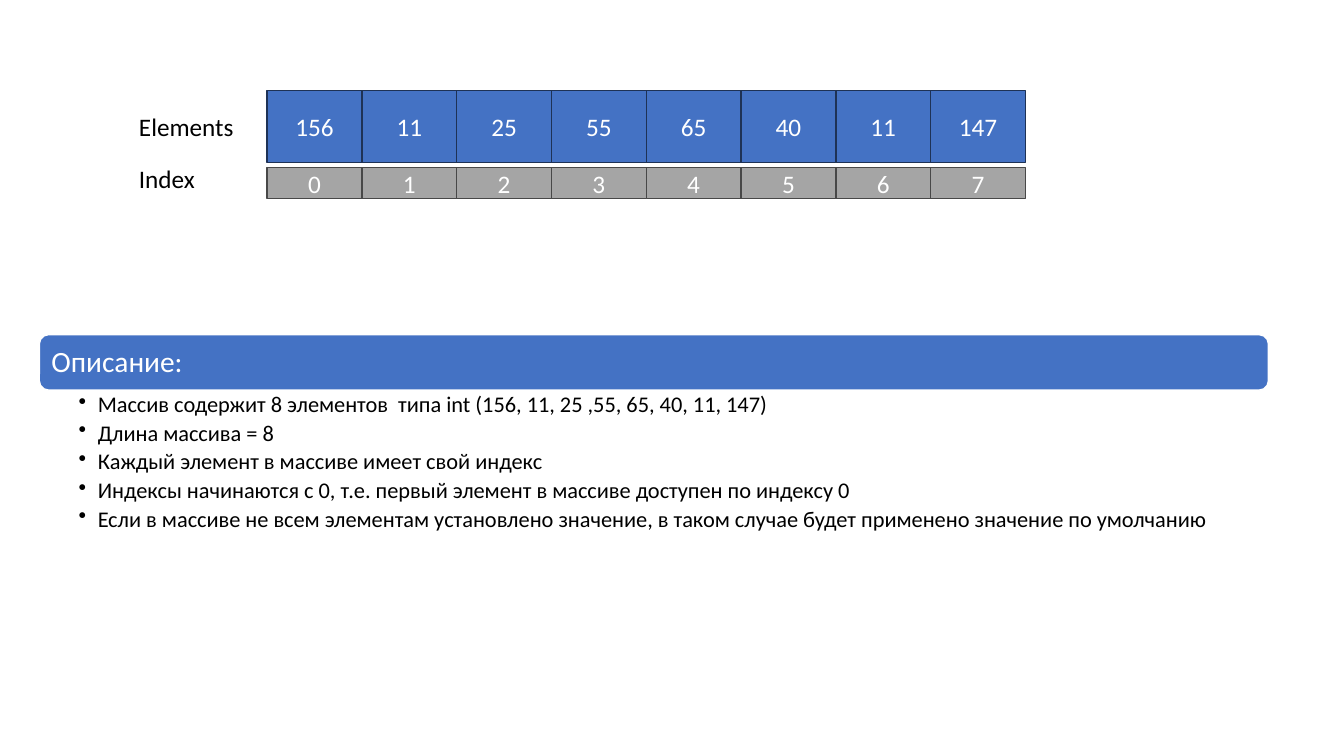
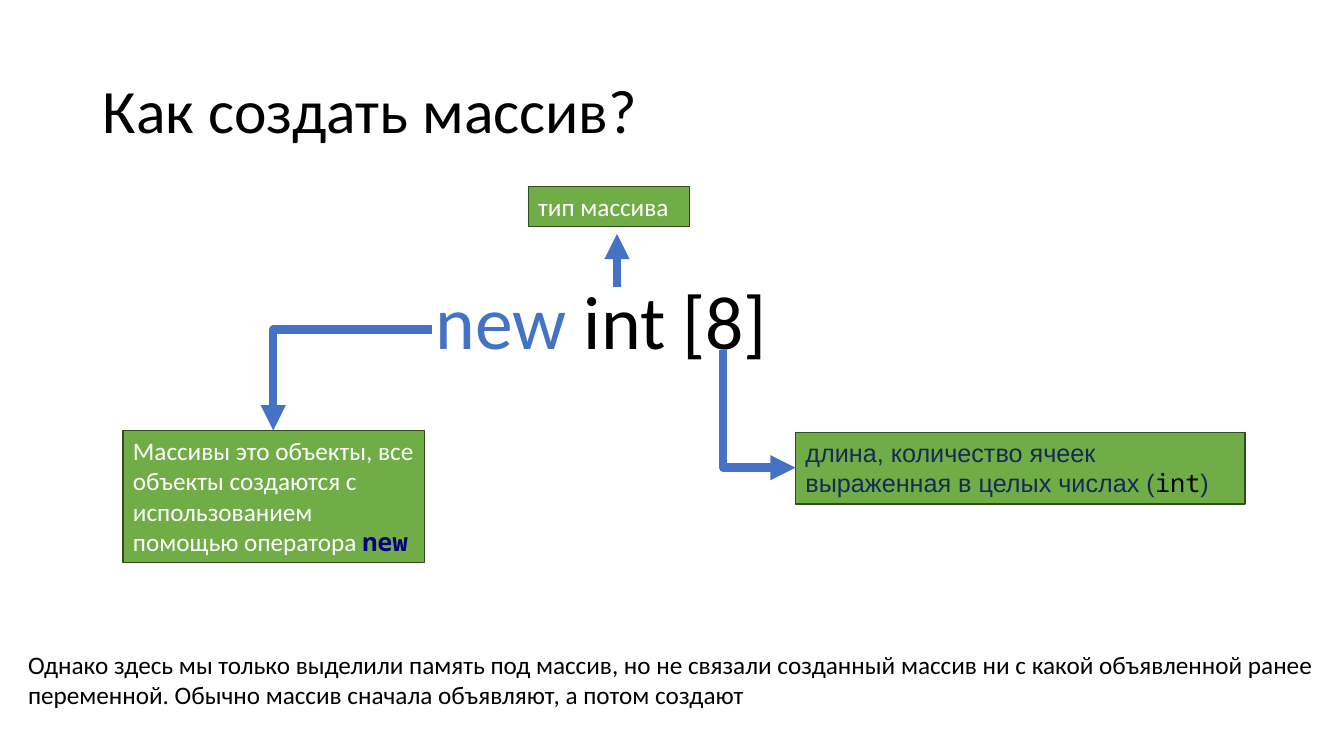
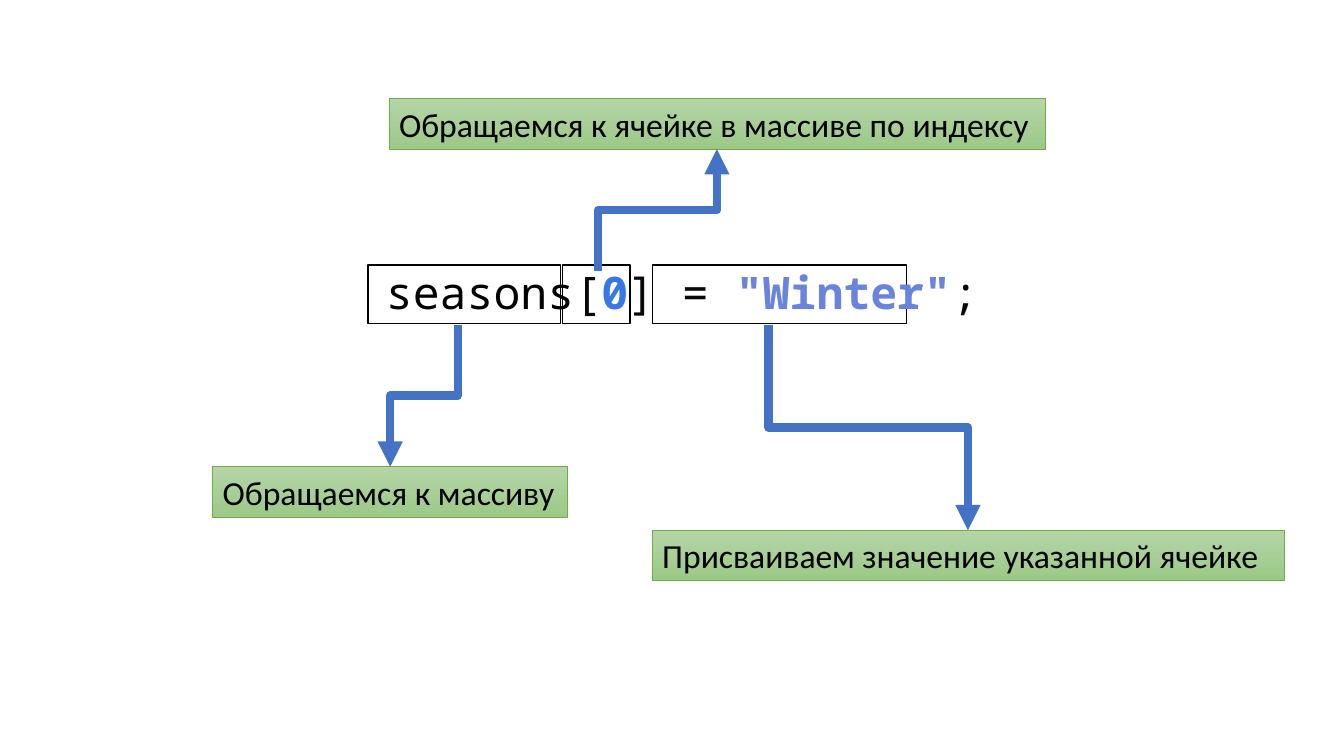
from dataclasses import dataclass, replace
from typing import Any

from lxml import etree
from pptx import Presentation
from pptx import util as u
from pptx.dml.color import RGBColor
from pptx.enum import shapes as es, text as et
from pptx.oxml import ns

# Shared look
BLUE, GREEN, GREY = "4472C4", "70AD47", "A5A5A5"
WHITE, BLACK, NAVY = "FFFFFF", "000000", "172B53"
SANS, MONO = "Calibri", "Noto Sans Mono"
FADE = ("B5D5A7", "9CC987")
KIND = es.MSO_SHAPE
ALIGN, TOP, MID = et.PP_ALIGN, et.MSO_ANCHOR.TOP, et.MSO_ANCHOR.MIDDLE


@dataclass(frozen=True)
class Run:
    text: str
    hue: str | None = None
    font: str | None = None
    bold: bool = False


@dataclass(frozen=True)
class Box:
    left: float
    top: float
    wide: float
    high: float
    fill: str | tuple[str, str] | None = None
    edge: str | None = None
    width: float = 1
    kind: Any = KIND.RECTANGLE

    def place(self) -> list[int]:
        return [u.Inches(n) for n in (self.left, self.top, self.wide, self.high)]


@dataclass(frozen=True)
class Arrow:
    start: tuple[float, float]
    end: tuple[float, float]
    form: str = "line"
    turn: int = 0
    flip: str = ""


def rgb(code: str) -> RGBColor:
    return RGBColor.from_string(code)


def draw(area: Any, box: Box) -> Any:
    """Add a filled shape, or a text box when there is no fill."""
    if box.fill is None:
        return area.add_textbox(*box.place())
    shape = area.add_shape(box.kind, *box.place())
    shape.shadow.inherit = False
    if isinstance(box.fill, tuple):
        shape.fill.gradient()
        shape.fill.gradient_angle = 270
        for stop, hue, spot in zip(shape.fill.gradient_stops, box.fill, (0, 1)):
            stop.color.rgb = rgb(hue)
            stop.position = spot
    else:
        shape.fill.solid()
        shape.fill.fore_color.rgb = rgb(box.fill)
    shape.line.color.rgb = rgb(box.edge or WHITE)
    shape.line.width = u.Pt(box.width)
    return shape


def write(shape: Any, *paras: str | list[Run], size: float = 18, hue: str = BLACK,
          font: str = SANS, align: Any = ALIGN.LEFT, anchor: Any = TOP,
          wrap: bool = True, grow: bool = False, lead: float | None = None,
          after: float | None = None, inset: tuple = (0.1, 0.05, 0.1, 0.05),
          bullet: bool = False) -> None:
    frame = shape.text_frame
    frame.word_wrap = wrap
    frame.auto_size = (et.MSO_AUTO_SIZE.SHAPE_TO_FIT_TEXT if grow
                       else et.MSO_AUTO_SIZE.NONE)
    frame.vertical_anchor = anchor
    for side, gap in zip(("left", "top", "right", "bottom"), inset):
        setattr(frame, f"margin_{side}", u.Inches(gap))
    for i, runs in enumerate(paras):
        para = frame.add_paragraph() if i else frame.paragraphs[0]
        para.alignment = align
        if lead:
            para.line_spacing = lead
        if after:
            para.space_after = u.Pt(after)
        if bullet:
            para.level = 1
            props = para._p.get_or_add_pPr()
            props.set("marL", str(u.Inches(0.19)))
            props.set("indent", str(-u.Inches(0.19)))
            etree.SubElement(props, ns.qn("a:buChar")).set("char", "•")
        for item in [Run(runs)] if isinstance(runs, str) else runs:
            for n, line in enumerate(item.text.split("\n")):
                if n:
                    para.add_line_break()
                run = para.add_run()
                run.text = line
                run.font.size = u.Pt(size)
                run.font.name = item.font or font
                run.font.bold = item.bold
                run.font.color.rgb = rgb(item.hue or hue)


def point(area: Any, arrow: Arrow) -> None:
    """Add an arrow; a turned one has its width and height swapped."""
    (x1, y1), (x2, y2) = arrow.start, arrow.end
    if arrow.form == "line":
        kind, ends = es.MSO_CONNECTOR.STRAIGHT, (x1, y1, x2, y2)
    else:
        wide, high = abs(x2 - x1), abs(y2 - y1)
        if arrow.turn % 180:
            wide, high = high, wide
        left, top = (x1 + x2 - wide) / 2, (y1 + y2 - high) / 2
        kind, ends = es.MSO_CONNECTOR.ELBOW, (left, top, left + wide, top + high)
    link = area.add_connector(kind, *(u.Inches(n) for n in ends))
    link.line.color.rgb = rgb(BLUE)
    link.line.width = u.Pt(6)
    props = link._element.spPr
    if arrow.form != "line":
        props.find(ns.qn("a:prstGeom")).set("prst", arrow.form)
        frame = props.find(ns.qn("a:xfrm"))
        frame.set("rot", str(arrow.turn * 60000))
        for axis in arrow.flip:
            frame.set(f"flip{axis}", "1")
    tip = etree.SubElement(link.line._get_or_add_ln(), ns.qn("a:tailEnd"))
    tip.set("type", "triangle")
    etree.SubElement(props, ns.qn("a:effectLst"))


deck = Presentation()
deck.slide_width, deck.slide_height = u.Inches(13.33), u.Inches(7.5)
BARE, TITLED = deck.slide_layouts[6], deck.slide_layouts[5]

# Slide 1: array cells and their indexes
area = deck.slides.add_slide(BARE).shapes
values = ("156", "11", "25", "55", "65", "40", "11", "147")
STEP = 0.94
rows = (
    (values, Box(2.65, 0.9, STEP, 0.71, BLUE, "1E3256")),
    (map(str, range(len(values))), Box(2.65, 1.66, STEP, 0.31, GREY, "484848")),
)
for words, first in rows:
    group = area.add_group_shape().shapes
    for i, word in enumerate(words):
        cell = draw(group, replace(first, left=first.left + i * STEP))
        write(cell, word, hue=WHITE, align=ALIGN.CENTER, anchor=MID)
for name, top, wide in (("Elements", 1.06, 1.15), ("Index", 1.57, 0.76)):
    write(draw(area, Box(1.28, top, wide, 0.4)), name, wrap=False, grow=True)

# Description band and list
draw(area, Box(0.39, 3.32, 12.19, 0.55, BLUE, WHITE, kind=KIND.ROUNDED_RECTANGLE))
write(draw(area, Box(0.42, 3.35, 12.13, 0.5)), "Описание:", size=21, hue=WHITE,
      anchor=MID, lead=0.9, inset=(0.09,) * 4)
write(draw(area, Box(0.39, 3.87, 12.19, 1.5)),
      "Массив содержит 8 элементов  типа int (156, 11, 25 ,55, 65, 40, 11, 147)",
      "Длина массива = 8",
      "Каждый элемент в массиве имеет свой индекс",
      "Индексы начинаются с 0, т.е. первый элемент в массиве доступен по индексу 0",
      "Если в массиве не всем элементам установлено значение, "
      "в таком случае будет применено значение по умолчанию",
      size=16, lead=0.9, after=3.2, inset=(0.39, 0.03, 0.16, 0.03), bullet=True)

# Slide 2: creating an array
area = deck.slides.add_slide(TITLED).shapes
title = area.title
title.left, title.top, title.width, title.height = Box(0.92, 0.4, 11.5, 1.45).place()
write(title, "Как создать массив?", size=44, anchor=MID, lead=0.9)
write(draw(area, Box(4.2, 2.67, 3.7, 1.01)), [Run("new ", BLUE), Run("int [8] ")],
      size=54, align=ALIGN.CENTER, wrap=False, grow=True)

notes = (
    (Box(1.22, 4.27, 2.99, 1.31, GREEN, "314C1F"),
     [Run("Массивы это объекты, все объекты создаются с использованием "
          "помощью оператора "), Run("new ", "000080", MONO, True)]),
    (Box(5.24, 1.85, 1.6, 0.4, GREEN, "314C1F"), "тип массива"),
    (Box(7.89, 4.29, 4.46, 0.71, GREEN, "314C1F"),
     [Run("длина, количество ячеек\nвыраженная в целых числах (", NAVY, "Arial"),
      Run("int", BLACK, MONO), Run(")", NAVY, "Arial")]),
)
for box, words in notes:
    write(draw(area, box), words, hue=WHITE, grow=True)
for arrow in (
    Arrow((6.12, 2.85), (6.12, 2.32)),
    Arrow((4.28, 3.27), (2.71, 4.27), "bentConnector2", 180, "V"),
    Arrow((7.17, 3.47), (7.89, 4.64), "bentConnector2", 270, "H"),
):
    point(area, arrow)
write(draw(area, Box(0.18, 6.39, 12.97, 0.71)),
      "Однако здесь мы только выделили память под массив, но не связали созданный "
      "массив ни с какой объявленной ранее переменной. Обычно массив сначала "
      "объявляют, а потом создают", grow=True)

# Slide 3: assigning a value to a cell
area = deck.slides.add_slide(BARE).shapes
for left, wide in ((6.47, 2.52), (5.58, 0.67), (3.65, 1.91)):
    draw(area, Box(left, 2.63, wide, 0.58, WHITE, BLACK))
write(draw(area, Box(3.73, 2.58, 6.67, 0.64)),
      [Run("seasons", BLACK), Run("["), Run("0", "3777E6", bold=True), Run("] = "),
       Run('"Winter"', "6A84DB", bold=True), Run(";")],
      size=32, hue="080808", font=MONO, grow=True)
for left, top, wide, words, wrap in (
    (2.11, 4.63, 3.52, "Обращаемся к массиву", False),
    (3.86, 0.98, 6.51, "Обращаемся к ячейке в массиве по индексу", False),
    (6.47, 5.26, 6.27, "Присваиваем значение указанной ячейке", True),
):
    label = draw(area, Box(left, top, wide, 0.5, FADE, GREEN, 0.5))
    write(label, words, size=24, wrap=wrap, grow=True)
for arrow in (
    Arrow((5.93, 2.69), (7.11, 1.48), "bentConnector3", 90, "HV"),
    Arrow((7.62, 3.22), (9.6, 5.26), "bentConnector3", 270, "H"),
    Arrow((4.54, 3.22), (3.87, 4.63), "bentConnector3", 90),
):
    point(area, arrow)

deck.save("out.pptx")
